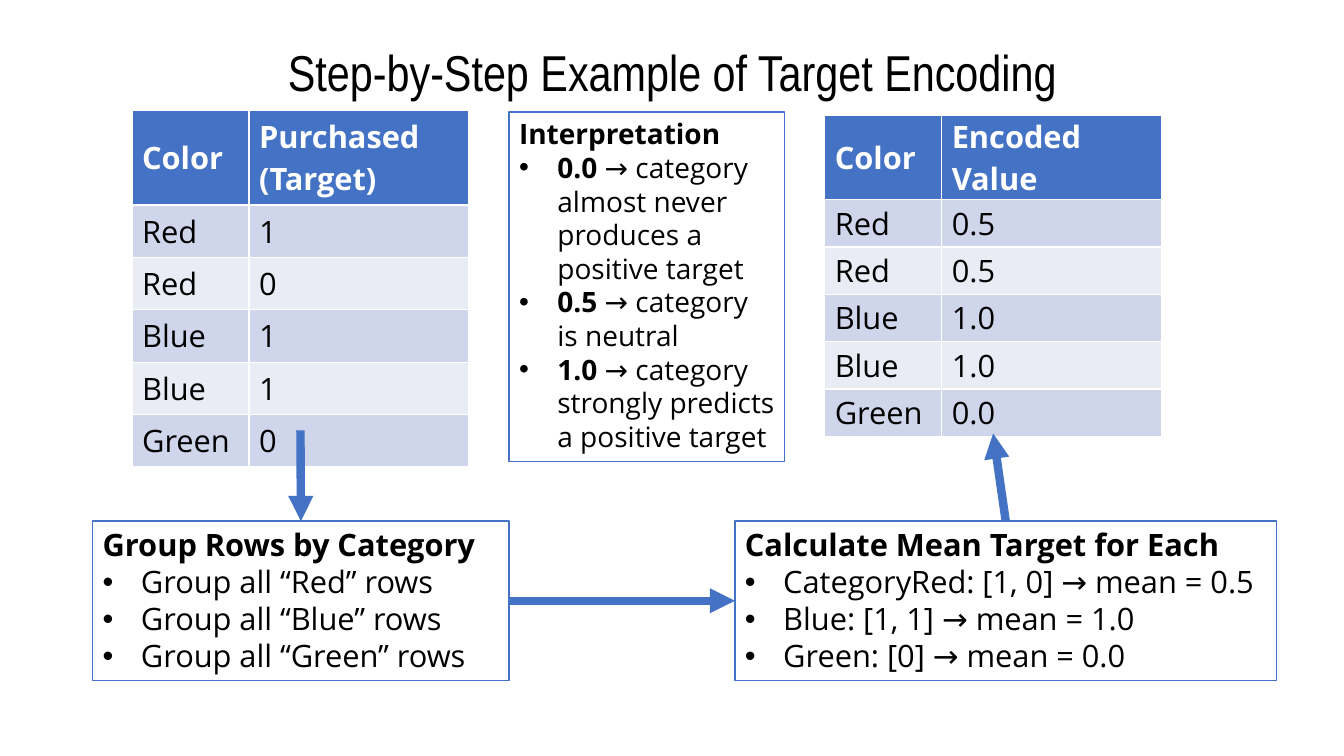
"""Build a slide that walks through target encoding step by step."""
from lxml import etree
from pptx import Presentation, util as u
from pptx.dml.color import RGBColor
from pptx.enum import shapes, text
from pptx.oxml import ns

BLUE = RGBColor(0x44, 0x72, 0xC4)
DARK = RGBColor(0xCF, 0xD5, 0xEA)
PALE = RGBColor(0xE9, 0xEB, 0xF5)
WHITE = RGBColor(0xFF, 0xFF, 0xFF)
BLACK = RGBColor(0, 0, 0)


def write(par, words, size, color=BLACK, bold=False, face="Open Sans"):
    run = par.add_run()
    run.text = words
    font = run.font
    font.name, font.size, font.bold = face, u.Pt(size), bold
    font.color.rgb = color


def add(parent, tag, **attrs):
    return etree.SubElement(parent, ns.qn(tag), **attrs)


deck = Presentation()
deck.slide_width, deck.slide_height = u.Inches(13.33), u.Inches(7.5)
slide = deck.slides.add_slide(deck.slide_layouts[5])

title = slide.shapes.title
title.left, title.top, title.width, title.height = map(u.Inches, (0.92, 0.4, 11.5, 0.7))
frame = title.text_frame
frame.auto_size = text.MSO_AUTO_SIZE.NONE
frame.vertical_anchor = text.MSO_ANCHOR.MIDDLE
par = frame.paragraphs[0]
par.alignment = text.PP_ALIGN.CENTER
par.line_spacing = 0.9
write(par, "Step-by-Step Example of Target Encoding", 36, face="Arial Narrow")

colors = ["Red", "Red", "Blue", "Blue", "Green"]
tables = [
    (1.31, 1.1, 0.93, 0.52, 0.05, "Purchased (Target)", ["1", "0", "1", "1", "0"]),
    (8.18, 1.14, 0.84, 0.47, 0, "Encoded Value", ["0.5", "0.5", "1.0", "1.0", "0.0"]),
]
for left, top, head, high, pad, name, values in tables:
    rows = [("Color", name), *zip(colors, values)]
    size = map(u.Inches, (left, top, 3.34, head + high * len(colors)))
    grid = slide.shapes.add_table(len(rows), 2, *size).table
    for col, wide in zip(grid.columns, (1.16, 2.18)):
        col.width = u.Inches(wide)
    for r, row in enumerate(rows):
        grid.rows[r].height = u.Inches(high if r else head)
        for c, words in enumerate(row):
            cell = grid.cell(r, c)
            cell.margin_top = cell.margin_bottom = u.Inches(pad)
            cell.vertical_anchor = text.MSO_ANCHOR.MIDDLE
            cell.fill.solid()
            cell.fill.fore_color.rgb = BLUE if r == 0 else DARK if r % 2 else PALE
            par = cell.text_frame.paragraphs[0]
            write(par, words, 22, BLACK if r else WHITE, r == 0)

notes = [
    (0.92, 5.17, 4.13, 1.58, 22, "Group Rows by Category", [
        ("", "Group all “Red” rows"),
        ("", "Group all “Blue” rows"),
        ("", "Group all “Green” rows")]),
    (7.29, 5.17, 5.37, 1.58, 22, "Calculate Mean Target for Each", [
        ("", "CategoryRed: [1, 0] → mean = 0.5"),
        ("", "Blue: [1, 1] → mean = 1.0"),
        ("", "Green: [0] → mean = 0.0")]),
    (5.05, 1.11, 2.73, 3.47, 20, "Interpretation", [
        ("0.0", " → category almost never produces a positive target"),
        ("0.5", " → category is neutral"),
        ("1.0", " → category strongly predicts a positive target")]),
]
boxes = []
for left, top, wide, high, size, name, items in notes:
    place = map(u.Inches, (left, top, wide, high))
    box = slide.shapes.add_shape(shapes.MSO_SHAPE.RECTANGLE, *place)
    box.shadow.inherit = False
    box.fill.solid()
    box.fill.fore_color.rgb = WHITE
    box.line.color.rgb = BLUE
    box.line.width = u.Pt(1)
    frame = box.text_frame
    frame.word_wrap = True
    frame.auto_size = text.MSO_AUTO_SIZE.SHAPE_TO_FIT_TEXT
    frame.vertical_anchor = text.MSO_ANCHOR.TOP
    par = frame.paragraphs[0]
    par.alignment = text.PP_ALIGN.LEFT
    write(par, name, size, bold=True)
    for key, words in items:
        par = frame.add_paragraph()
        par.alignment = text.PP_ALIGN.LEFT
        props = par._p.get_or_add_pPr()
        props.set("marL", str(u.Inches(0.38)))
        props.set("indent", str(-u.Inches(0.38)))
        add(props, "a:buFont", typeface="Arial")
        add(props, "a:buChar", char="•")
        if key:
            write(par, key, size, bold=True)
        write(par, words, size)
    boxes.append(box)

group, mean, _ = boxes
arrows = [
    (2.98, 4.27, 2.98, 5.17, None, (group, 0)),
    (5.05, 5.96, 7.29, 5.96, (group, 3), (mean, 1)),
    (9.97, 5.17, 9.85, 4.3, (mean, 0), None),
]
for *ends, start, stop in arrows:
    arrow = slide.shapes.add_connector(shapes.MSO_CONNECTOR.STRAIGHT, *map(u.Inches, ends))
    if start:
        arrow.begin_connect(*start)
    if stop:
        arrow.end_connect(*stop)
    arrow.line.color.rgb = BLUE
    arrow.line.width = u.Pt(6)
    add(arrow.line._get_or_add_ln(), "a:tailEnd", type="triangle")
    add(arrow._element.spPr, "a:effectLst")

deck.save("out.pptx")
